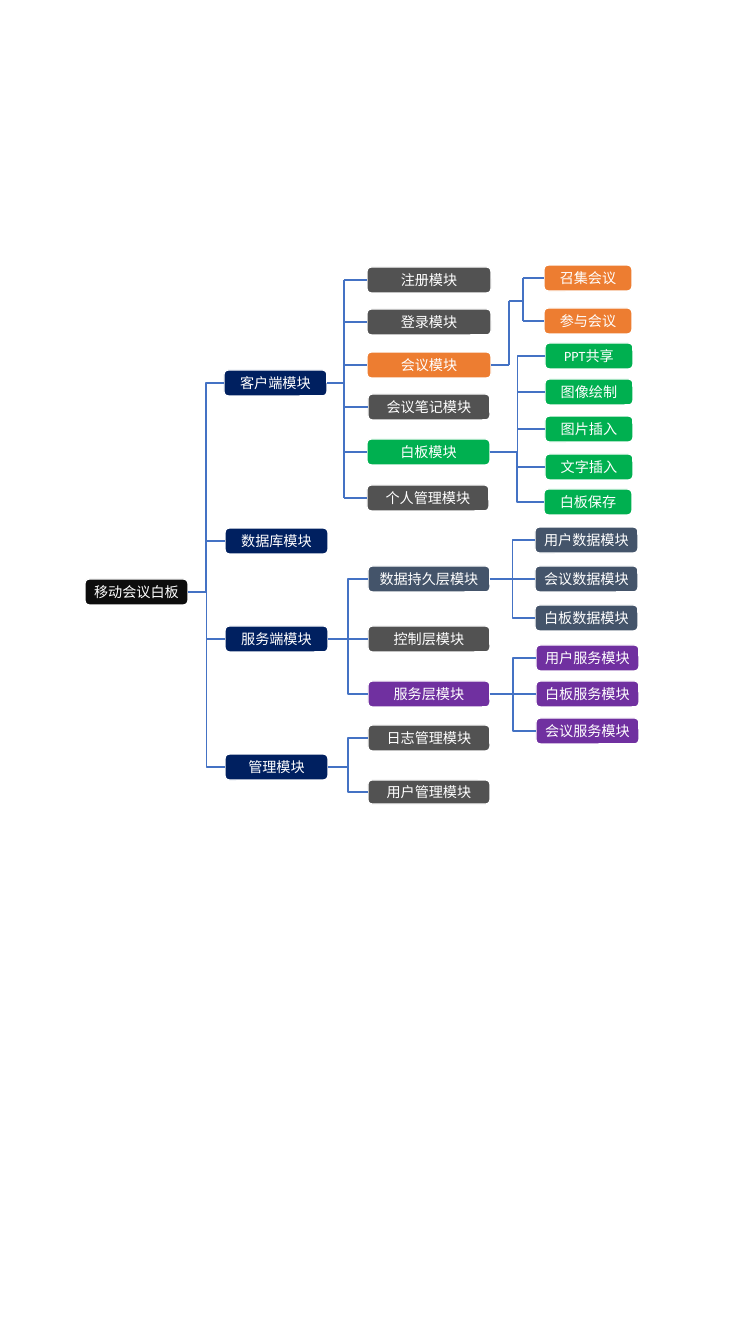
from dataclasses import dataclass, field
from itertools import pairwise

from pptx import Presentation
from pptx.dml.color import RGBColor
from pptx.enum.shapes import MSO_CONNECTOR as CXN, MSO_SHAPE as SHAPE
from pptx.enum.text import MSO_ANCHOR as ANCHOR, PP_ALIGN as ALIGN
from pptx.oxml.xmlchemy import OxmlElement
from pptx.util import Emu, Pt

SCALE = 914400 / 100.8
LEFT, RIGHT = 1, 3


@dataclass(frozen=True)
class Theme:
    """Colours, type and line weights."""
    root: str = "0D0D0D"
    branch: str = "002060"
    plain: str = "525252"
    meeting: str = "ED7D31"
    board: str = "00B050"
    data: str = "44546A"
    service: str = "7030A0"
    white: str = "FFFFFF"
    link: str = "4472C4"
    font: str = "Calibri"
    size: float = 10.1
    weight: float = 1


@dataclass
class Node:
    """A module box with its submodules; turns route a straight-line bus."""
    text: str
    x: int
    y: int
    w: int
    color: str
    children: list = field(default_factory=list)
    turns: list = field(default_factory=list)
    h: int = 26

    @property
    def middle(self):
        """Vertical centre of the box."""
        return self.y + self.h // 2


T = Theme()


def px(n):
    """Turn pixels into EMU."""
    return Emu(round(n * SCALE))


def rgb(color):
    """Turn a hex string into a colour."""
    return RGBColor.from_string(color)


def apply(obj, **values):
    """Set several attributes of an object."""
    for name, value in values.items():
        setattr(obj, name, value)


def set_line(line, color):
    """Format an outline or a connector."""
    line.color.rgb = rgb(color)
    line.width = Pt(T.weight)


def add_box(s, node):
    """Draw the rounded box of one module."""
    sp = s.shapes.add_shape(SHAPE.ROUNDED_RECTANGLE, *map(px, (node.x, node.y, node.w, node.h)))
    sp.shadow.inherit = False
    sp.fill.solid()
    sp.fill.fore_color.rgb = rgb(node.color)
    set_line(sp.line, T.white)
    tf = sp.text_frame
    apply(tf, word_wrap=True, vertical_anchor=ANCHOR.MIDDLE, margin_left=px(6),
          margin_right=px(6), margin_top=px(3), margin_bottom=px(3))
    p = tf.paragraphs[0]
    p.alignment = ALIGN.CENTER
    r = p.add_run()
    r.text = node.text
    apply(r.font, name=T.font, size=Pt(T.size))
    r.font.color.rgb = rgb(T.white)
    return sp


def add_link(s, kind, start, end):
    """Draw a connector between two points."""
    cxn = s.shapes.add_connector(kind, *map(px, (*start, *end)))
    set_line(cxn.line, T.link)
    cxn._element.spPr.append(OxmlElement("a:effectLst"))
    return cxn


def add_bus(s, node):
    """Join a module to its submodules by a stem, a bus and branches."""
    stem = [(node.x + node.w, node.middle), *node.turns]
    bus_x = node.turns[-1][0]
    ends = [(child.x, child.middle) for child in node.children]
    bus = ((bus_x, ends[0][1]), (bus_x, ends[-1][1]))
    branches = [((bus_x, y), (x, y)) for x, y in ends]
    for start, end in [*pairwise(stem), bus, *branches]:
        add_link(s, CXN.STRAIGHT, start, end)


def add_tree(s, node):
    """Draw a module with everything below it."""
    sp = add_box(s, node)
    boxes = [add_tree(s, child) for child in node.children]
    if node.turns:
        add_bus(s, node)
        return sp
    for child, box in zip(node.children, boxes):
        start = (node.x + node.w, node.middle)
        cxn = add_link(s, CXN.ELBOW, start, (child.x, child.middle))
        cxn.begin_connect(sp, RIGHT)
        cxn.end_connect(box, LEFT)
    return sp


def column(color, w, *rows):
    """Make leaf modules of one colour and width."""
    return [Node(text, x, y, w, color) for text, x, y in rows]


def module_tree():
    """Describe the modules of the meeting whiteboard."""
    meeting = column(T.meeting, 88, ("召集会议", 544, 265), ("参与会议", 544, 308))
    board = column(T.board, 88, ("PPT共享", 545, 343), ("图像绘制", 545, 379),
                   ("图片插入", 545, 416), ("文字插入", 545, 454), ("白板保存", 544, 489))
    data = column(T.data, 103, ("用户数据模块", 535, 527), ("会议数据模块", 535, 566),
                  ("白板数据模块", 535, 605))
    service = column(T.service, 103, ("用户服务模块", 536, 645), ("白板服务模块", 536, 681),
                     ("会议服务模块", 536, 718))
    client = [
        *column(T.plain, 124, ("注册模块", 367, 267), ("登录模块", 367, 309)),
        Node("会议模块", 367, 352, 124, T.meeting, meeting, [(509, 365), (509, 301), (523, 301)]),
        Node("会议笔记模块", 368, 394, 122, T.plain),
        Node("白板模块", 367, 439, 123, T.board, board),
        Node("个人管理模块", 367, 485, 122, T.plain),
    ]
    server = [
        Node("数据持久层模块", 368, 566, 122, T.data, data),
        Node("控制层模块", 368, 626, 122, T.plain),
        Node("服务层模块", 368, 681, 122, T.service, service),
    ]
    admin = [
        Node("日志管理模块", 368, 725, 122, T.plain),
        Node("用户管理模块", 368, 780, 122, T.plain, h=24),
    ]
    branches = [
        Node("客户端模块", 224, 370, 103, T.branch, client, [(344, 383)]),
        Node("数据库模块", 225, 528, 103, T.branch),
        Node("服务端模块", 225, 626, 103, T.branch, server),
        Node("管理模块", 225, 754, 103, T.branch, admin),
    ]
    return Node("移动会议白板", 85, 579, 103, T.root, branches)


def main():
    """Build the slide and save it."""
    prs = Presentation()
    apply(prs, slide_width=px(756), slide_height=px(1344))
    s = prs.slides.add_slide(prs.slide_layouts[6])
    add_tree(s, module_tree())
    prs.save("out.pptx")


main()
